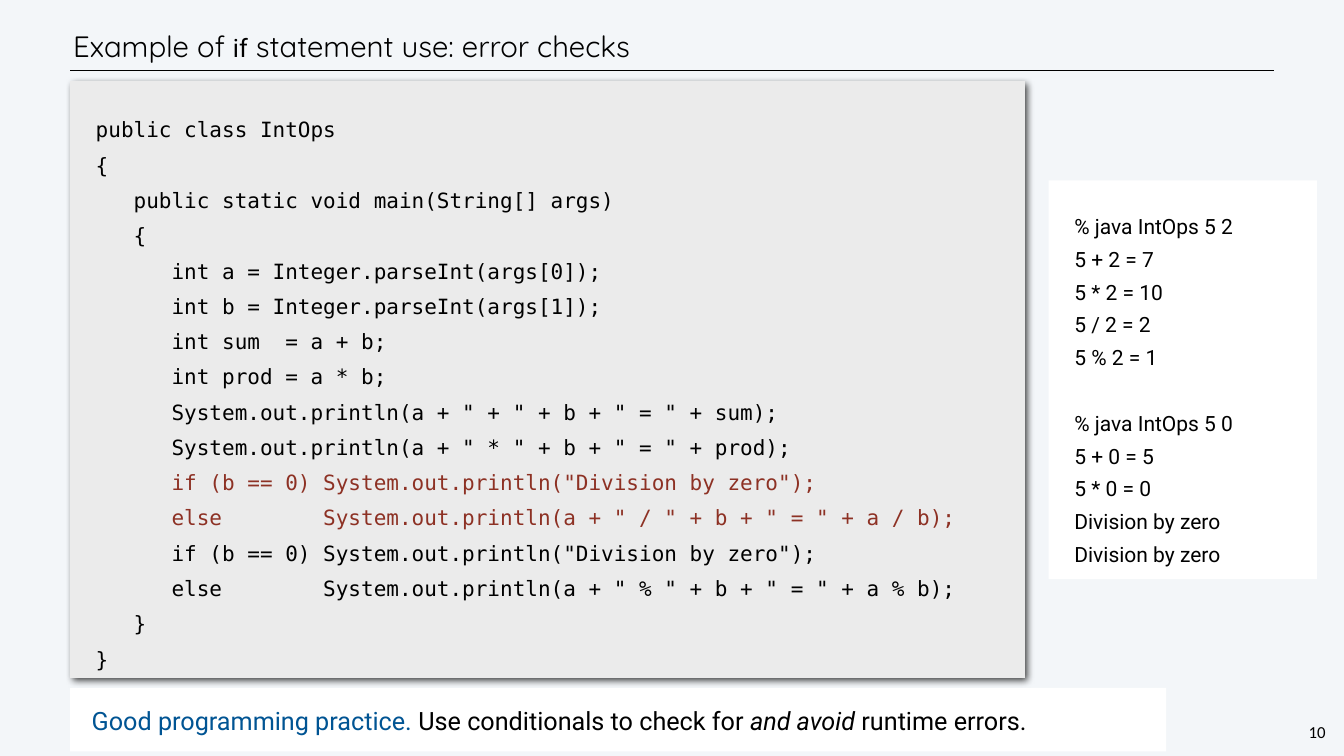
"""Build the slide about using if statements for error checks."""
import pptx
import pptx.dml.color
import pptx.enum.shapes
import pptx.enum.text
import pptx.oxml
import pptx.oxml.ns
import pptx.util
from pptx.util import Inches

COLOURS = {
    "background": "F3F6F9",
    "text": "000000",
    "code": "EBEBEB",
    "panel": "FFFFFF",
    "highlight": "8D3124",
    "practice": "005493",
}
SHADOW = (
    f'<a:effectLst {pptx.oxml.ns.nsdecls("a")}>'
    '<a:outerShdw blurRad="127000" dist="76200" dir="2700000" algn="tl" rotWithShape="0">'
    '<a:srgbClr val="000000"><a:alpha val="75000"/></a:srgbClr>'
    '</a:outerShdw></a:effectLst>'
)


def add_box(left, top, width, height, inset, fill=None):
    if fill:
        box = slide.shapes.add_shape(
            pptx.enum.shapes.MSO_SHAPE.RECTANGLE,
            Inches(left), Inches(top), Inches(width), Inches(height))
        box.shadow.inherit = False
        box.fill.solid()
        box.fill.fore_color.rgb = pptx.dml.color.RGBColor.from_string(COLOURS[fill])
        box.line.fill.background()
    else:
        box = slide.shapes.add_textbox(
            Inches(left), Inches(top), Inches(width), Inches(height))
    frame = box.text_frame
    frame.word_wrap = True
    frame.vertical_anchor = pptx.enum.text.MSO_ANCHOR.TOP
    frame.margin_left = frame.margin_right = Inches(inset)
    frame.margin_top = frame.margin_bottom = Inches(inset)
    return box


def add_line(box, index, spacing, runs):
    frame = box.text_frame
    line = frame.add_paragraph() if index else frame.paragraphs[0]
    line.alignment = pptx.enum.text.PP_ALIGN.LEFT
    line.line_spacing = spacing
    for text, size, font, colour, italic in runs:
        run = line.add_run()
        run.text = text
        run.font.size = pptx.util.Pt(size)
        run.font.name = font
        run.font.italic = italic
        run.font.color.rgb = pptx.dml.color.RGBColor.from_string(COLOURS[colour])
    return line


presentation = pptx.Presentation()
presentation.slide_width = Inches(26.67)
presentation.slide_height = Inches(15)
slide = presentation.slides.add_slide(presentation.slide_layouts[6])
slide.background.fill.solid()
slide.background.fill.fore_color.rgb = pptx.dml.color.RGBColor.from_string(COLOURS["background"])

title_rule = slide.shapes.add_connector(
    pptx.enum.shapes.MSO_CONNECTOR.STRAIGHT,
    Inches(1.39), Inches(1.4), Inches(25.28), Inches(1.4))
title_rule.line.width = pptx.util.Pt(1)
title_rule.line.color.rgb = pptx.dml.color.RGBColor.from_string(COLOURS["text"])
title_rule._element.spPr.append(
    pptx.oxml.parse_xml(f'<a:effectLst {pptx.oxml.ns.nsdecls("a")}/>'))

title = add_box(1.39, 0.42, 22.62, 0.99, 0.06)
title.text_frame.vertical_anchor = pptx.enum.text.MSO_ANCHOR.MIDDLE
add_line(title, 0, pptx.util.Pt(50), [
    ("Example of ", 42, "Quicksand", "text", False),
    ("if", 36, "Roboto", "text", False),
    (" statement use: error checks", 42, "Quicksand", "text", False),
])

page_number = add_box(25.92, 14.29, 0.43, 0.47, 0.04)
page_number.text_frame.word_wrap = False
number_line = add_line(page_number, 0, pptx.util.Pt(28), [("10", 24, "Calibri", "text", False)])
number_line.alignment = pptx.enum.text.PP_ALIGN.CENTER

program = '''public class IntOps
{
   public static void main(String[] args)
   {
      int a = Integer.parseInt(args[0]);
      int b = Integer.parseInt(args[1]);
      int sum  = a + b;
      int prod = a * b;
      System.out.println(a + " + " + b + " = " + sum);
      System.out.println(a + " * " + b + " = " + prod);
      if (b == 0) System.out.println("Division by zero");
      else        System.out.println(a + " / " + b + " = " + a / b);
      if (b == 0) System.out.println("Division by zero");
      else        System.out.println(a + " % " + b + " = " + a % b);
   }
}'''
division_check = (10, 11)
listing = add_box(1.39, 1.61, 18.95, 11.84, 0.51, "code")
listing.shadow.inherit = True
listing._element.spPr.append(pptx.oxml.parse_xml(SHADOW))
for index, statement in enumerate(program.split("\n")):
    colour = "highlight" if index in division_check else "text"
    add_line(listing, index, 1.4, [(statement, 30, "DejaVu Sans Mono", colour, False)])

sessions = [
    ["% java IntOps 5 2", "5 + 2 = 7", "5 * 2 = 10", "5 / 2 = 2", "5 % 2 = 1"],
    ["% java IntOps 5 0", "5 + 0 = 5", "5 * 0 = 0", "Division by zero", "Division by zero"],
]
console = add_box(20.81, 3.58, 5.32, 7.91, 0.51, "panel")
for session_index, session in enumerate(sessions):
    for index, output in enumerate(session):
        output_line = add_line(console, session_index + index, 1.3,
                               [(output, 30, "Roboto", "text", False)])
        if session_index and index == 0:
            output_line.space_before = pptx.util.Pt(47)

practice = add_box(1.39, 13.65, 21.75, 1.26, 0.33, "panel")
practice.text_frame.margin_left = Inches(0.43)
add_line(practice, 0, pptx.util.Pt(44), [
    ("Good programming practice. ", 36, "Roboto", "practice", False),
    ("Use conditionals to check for ", 36, "Roboto", "text", False),
    ("and avoid", 36, "Roboto", "text", True),
    (" runtime errors.", 36, "Roboto", "text", False),
])

presentation.save("out.pptx")
